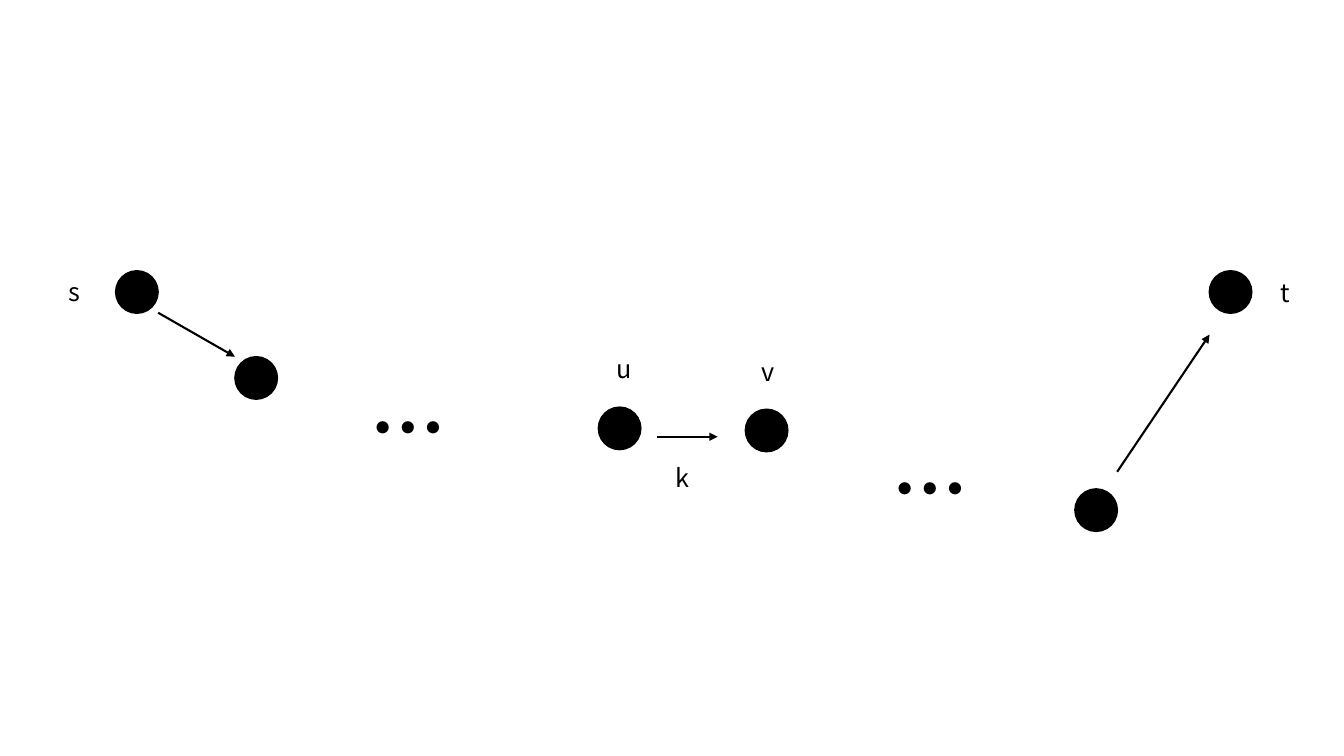
"""Build a slide showing a path from node s to node t through the edge u-v."""
from lxml import etree
from pptx import Presentation
from pptx.dml.color import RGBColor
from pptx.enum.shapes import MSO_CONNECTOR, MSO_SHAPE
from pptx.enum.text import MSO_AUTO_SIZE
from pptx.oxml.ns import qn
from pptx.util import Pt

OVAL = MSO_SHAPE.OVAL
STRAIGHT = MSO_CONNECTOR.STRAIGHT
FIT_SHAPE = MSO_AUTO_SIZE.SHAPE_TO_FIT_TEXT
BLACK = RGBColor(0, 0, 0)
FONT = "Noto Sans CJK KR"
NODE_SIZE = 30.4

presentation = Presentation()
presentation.slide_width = Pt(960)
presentation.slide_height = Pt(540)
slide = presentation.slides.add_slide(presentation.slide_layouts[6])

nodes = [(82.6, 193.4), (167.8, 254.8), (427.4, 290.8),
         (532.4, 292.3), (863.8, 193.4), (767.8, 349.2)]
for left, top in nodes:
    node = slide.shapes.add_shape(OVAL, Pt(left), Pt(top), Pt(NODE_SIZE), Pt(NODE_SIZE))
    node.shadow.inherit = False
    node.fill.solid()
    node.fill.fore_color.rgb = BLACK
    node.line.color.rgb = BLACK
    node.line.width = Pt(1)

edges = [(113, 223.4, 167.8, 254.8), (469.4, 312, 512.6, 312), (798, 337, 864, 239)]
for start_x, start_y, end_x, end_y in edges:
    edge = slide.shapes.add_connector(STRAIGHT, Pt(start_x), Pt(start_y), Pt(end_x), Pt(end_y))
    edge.line.color.rgb = BLACK
    edge.line.width = Pt(1.5)
    etree.SubElement(edge.line._get_or_add_ln(), qn("a:tailEnd"), type="triangle")
    etree.SubElement(edge._element.spPr, qn("a:effectLst"))

labels = [("…", 257.8, 268.6, 62.6, 72.7, 54), ("…", 630.7, 311.8, 62.6, 72.7, 54),
          ("u", 433.4, 249.1, 25.2, 28.8, 18), ("v", 537.1, 251.3, 23, 28.8, 18),
          ("k", 475.2, 326.9, 23.8, 28.8, 18), ("s", 41.8, 193.7, 22.3, 28.8, 18),
          ("t", 907.9, 194.4, 20.9, 28.8, 18)]
for text, left, top, width, height, size in labels:
    label = slide.shapes.add_textbox(Pt(left), Pt(top), Pt(width), Pt(height))
    label.text_frame.word_wrap = False
    label.text_frame.auto_size = FIT_SHAPE
    label.text_frame.text = text
    run = label.text_frame.paragraphs[0].runs[0]
    run.font.name = FONT
    run.font.size = Pt(size)
    run.font.bold = text == "…"
    run.font.color.rgb = BLACK
    etree.SubElement(run.font._element, qn("a:ea"), typeface=FONT)

presentation.save("out.pptx")
